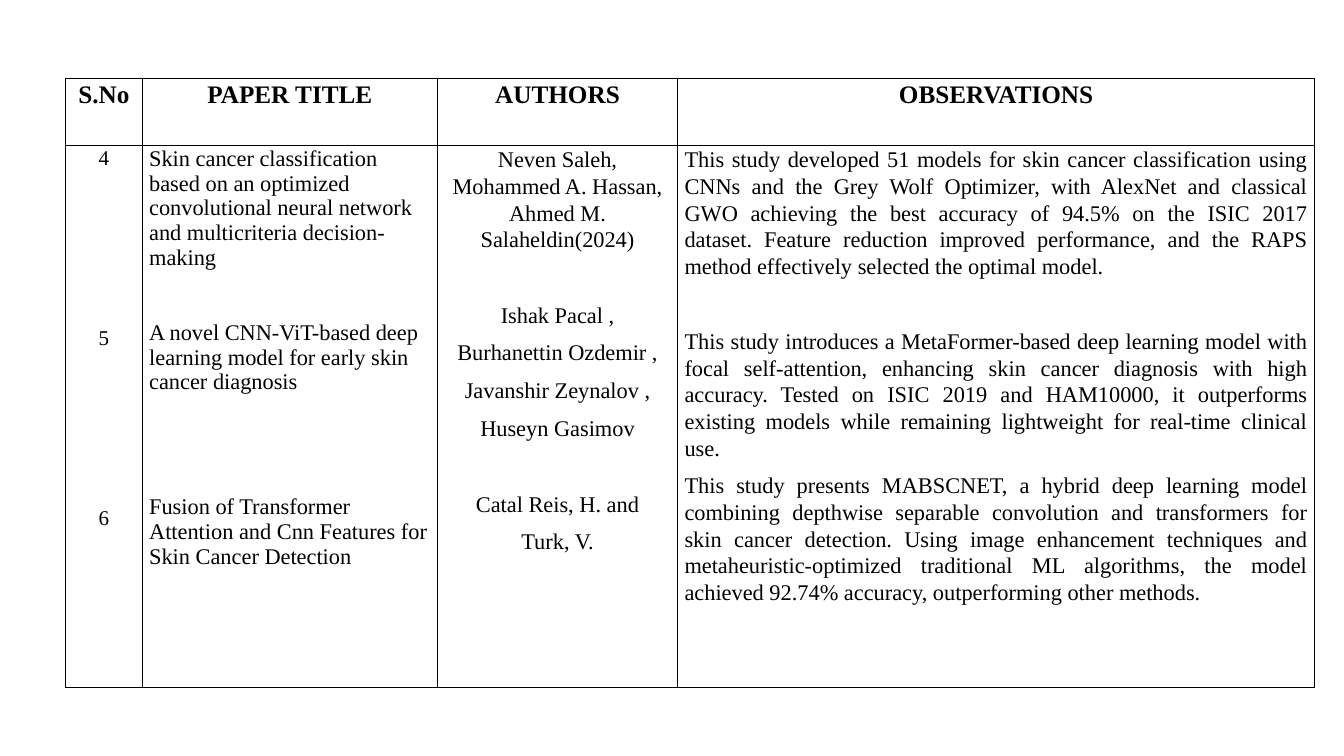
"""Build a slide with a table of reviewed papers on skin cancer models."""
from lxml import etree
from pptx import Presentation
from pptx.dml.color import RGBColor
from pptx.enum.text import PP_ALIGN
from pptx.oxml.ns import qn
from pptx.util import Inches, Pt

LEFT, CENTER, JUST = PP_ALIGN.LEFT, PP_ALIGN.CENTER, PP_ALIGN.JUSTIFY
COLORS = {"ink": "000000", "page": "FFFFFF"}
FONT = "Times New Roman"
HEADS = ["S.No", "PAPER TITLE", "AUTHORS", "OBSERVATIONS"]
WIDTHS = [0.76, 2.93, 2.38, 6.32]
HEIGHTS = [0.66, 5.38]
SPOT = (0.65, 0.78)
LOOSE = {"lead": 1.07, "after": 8}

# Each entry is a paragraph and the space before it in points.
NUMBERS = [("4", 0), ("5", 103), ("6", 103)]
TITLES = [
    ("Skin cancer classification based on an optimized convolutional neural "
     "network and multicriteria decision-making", 0),
    ("A novel CNN-ViT-based deep learning model for early skin cancer "
     "diagnosis", 35.5),
    ("Fusion of Transformer Attention and Cnn Features for Skin Cancer "
     "Detection", 71),
]
AUTHORS = [
    ("Neven Saleh, Mohammed A. Hassan, Ahmed M. Salaheldin(2024)", 0),
    ("Ishak Pacal ,", 27),
    ("Burhanettin Ozdemir ,", 0),
    ("Javanshir Zeynalov ,", 0),
    ("Huseyn Gasimov", 0),
    ("Catal Reis, H. and", 27),
    ("Turk, V.", 0),
]
NOTES = [
    ("This study developed 51 models for skin cancer classification using "
     "CNNs and the Grey Wolf Optimizer, with AlexNet and classical GWO "
     "achieving the best accuracy of 94.5% on the ISIC 2017 dataset. Feature "
     "reduction improved performance, and the RAPS method effectively "
     "selected the optimal model.", 0),
    ("This study introduces a MetaFormer-based deep learning model with "
     "focal self-attention, enhancing skin cancer diagnosis with high "
     "accuracy. Tested on ISIC 2019 and HAM10000, it outperforms existing "
     "models while remaining lightweight for real-time clinical use.", 27),
    ("This study presents MABSCNET, a hybrid deep learning model combining "
     "depthwise separable convolution and transformers for skin cancer "
     "detection. Using image enhancement techniques and "
     "metaheuristic-optimized traditional ML algorithms, the model achieved "
     "92.74% accuracy, outperforming other methods.", 0),
]
BODY = [
    (NUMBERS, {"size": 15, "align": CENTER, **LOOSE}),
    (TITLES, {"size": 16, "align": LEFT, "top": 0.01}),
    (AUTHORS, {"size": 16, "align": CENTER, "top": 0.01, **LOOSE}),
    (NOTES, {"size": 16, "align": JUST, "top": 0.01, **LOOSE}),
]


def write(cell, lines, size, align, bold=False, lead=1.0, after=0, top=0):
    cell.margin_left = cell.margin_right = Inches(0.07)
    cell.margin_top, cell.margin_bottom = Inches(top), 0
    frame = cell.text_frame
    for i, (text, gap) in enumerate(lines):
        para = frame.add_paragraph() if i else frame.paragraphs[0]
        para.alignment, para.line_spacing = align, lead
        para.space_before, para.space_after = Pt(gap), Pt(after)
        run = para.add_run()
        run.text = text
        font = run.font
        font.name, font.size, font.bold = FONT, Pt(size), bold
        font.color.rgb = RGBColor.from_string(COLORS["ink"])


def frame_cell(cell):
    props = cell._tc.get_or_add_tcPr()
    for side in ("lnL", "lnR", "lnT", "lnB"):
        line = etree.SubElement(props, qn("a:" + side), w=str(Pt(1)))
        fill = etree.SubElement(line, qn("a:solidFill"))
        etree.SubElement(fill, qn("a:srgbClr"), val=COLORS["ink"])
    cell.fill.solid()
    cell.fill.fore_color.rgb = RGBColor.from_string(COLORS["page"])


def main():
    deck = Presentation()
    deck.slide_width, deck.slide_height = Inches(13.33), Inches(7.5)
    slide = deck.slides.add_slide(deck.slide_layouts[6])
    box = [Inches(n) for n in (*SPOT, sum(WIDTHS), sum(HEIGHTS))]
    table = slide.shapes.add_table(len(HEIGHTS), len(WIDTHS), *box).table
    for row, height in zip(table.rows, HEIGHTS):
        row.height = Inches(height)
    for i, (head, width, (lines, style)) in enumerate(zip(HEADS, WIDTHS, BODY)):
        table.columns[i].width = Inches(width)
        write(table.cell(0, i), [(head, 0)], size=18, align=CENTER, bold=True,
              **LOOSE)
        write(table.cell(1, i), lines, **style)
    for cell in table.iter_cells():
        frame_cell(cell)
    deck.save("out.pptx")


if __name__ == "__main__":
    main()
